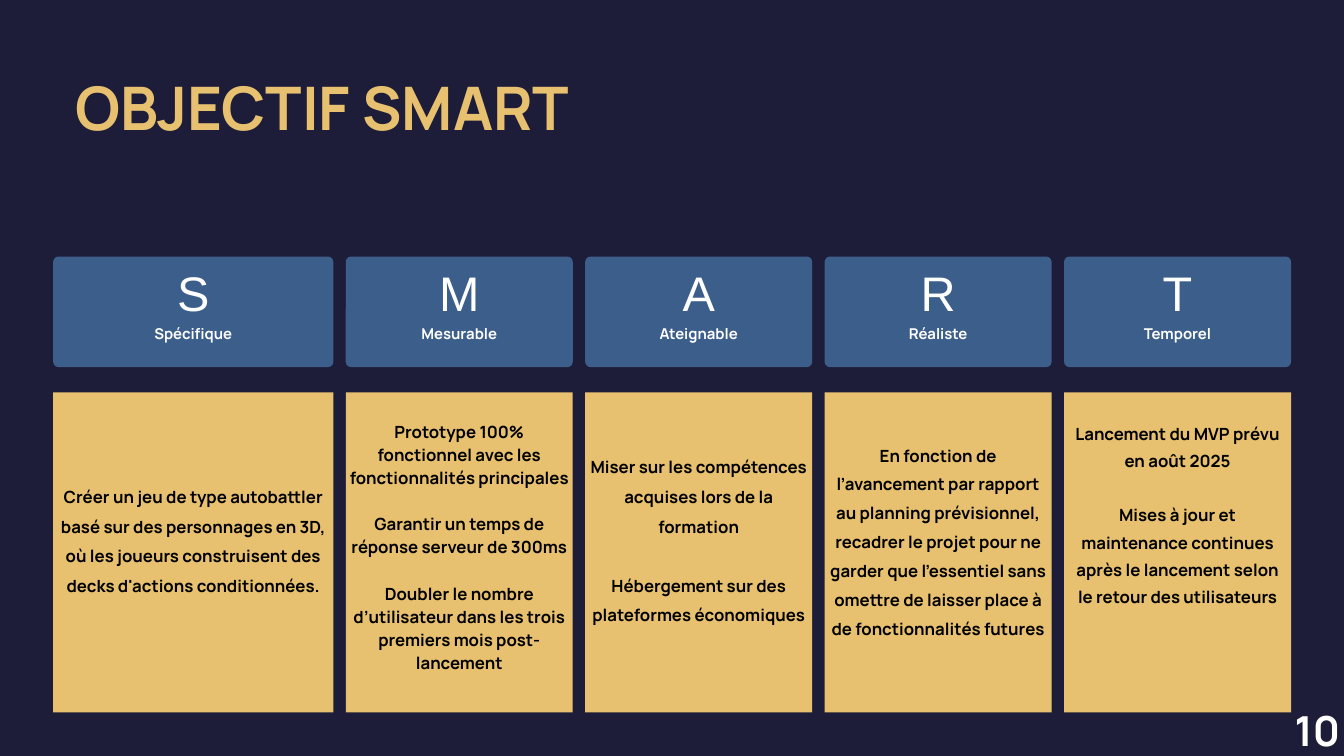
from pptx import Presentation
from pptx.dml.color import RGBColor
from pptx.enum.shapes import MSO_SHAPE as Shape
from pptx.enum.text import MSO_ANCHOR as Anchor, MSO_AUTO_SIZE as AutoSize, PP_ALIGN as Align
from pptx.util import Cm, Pt

# Content
TITLE = "OBJECTIF SMART"
PAGE_NUMBER = "10"
# letter, word, paragraphs, line pitch (pt), text lift (cm), lines kept free below
GOALS = [
    ("S", "Spécifique",
     ["Créer un jeu de type autobattler basé sur des personnages en 3D, "
      "où les joueurs construisent des decks d'actions conditionnées."], 31.7, 1.2, 0),
    ("M", "Mesurable",
     ["Prototype 100% fonctionnel avec les fonctionnalités principales",
      "Garantir un temps de réponse serveur de 300ms",
      "Doubler le nombre d’utilisateur dans les trois premiers mois post-lancement"],
     24.8, 0.5, 0),
    ("A", "Ateignable",
     ["Miser sur les compétences acquises lors de la formation",
      "Hébergement sur des plateformes économiques"], 31.7, 1.2, 0),
    ("R", "Réaliste",
     ["En fonction de l’avancement par rapport au planning prévisionnel, recadrer "
      "le projet pour ne garder que l’essentiel sans omettre de laisser place à "
      "de fonctionnalités futures"], 31, 1.1, 0),
    ("T", "Temporel",
     ["Lancement du MVP prévu en août 2025",
      "Mises à jour et maintenance continues après le lancement selon le retour "
      "des utilisateurs"], 29.2, 1.02, 2),
]

# Styles: font, size, colour, bold
THEME = {
    "background": "1E1D39", "header": "3C5E8B", "panel": "E8C170",
    "title": ("Manrope", 64.3, "E8C170", True),
    "letter": ("Arial", 52, "FFFFFF", False),
    "word": ("Manrope", 16, "FFFFFF", True),
    "body": ("Manrope", 18, "000000", True),
    "number": ("Manrope", 44.3, "FFFFFF", True),
}

# Grid, in cm
LEFT, GAP = 2.01, 0.47
FIRST_WIDTH, WIDTH = 10.59, 8.58
HEADER_TOP, HEADER_HEIGHT, HEADER_LIFT = 9.7, 4.18, 1.02
PANEL_TOP, PANEL_HEIGHT = 14.83, 12.1
INSET, RADIUS = 0.15, 0.2


def fill_solid(fill, colour):
    fill.solid()
    fill.fore_color.rgb = RGBColor.from_string(THEME[colour])


def add_block(slide, kind, box, colour):
    block = slide.shapes.add_shape(kind, *map(Cm, box))
    block.shadow.inherit = False
    fill_solid(block.fill, colour)
    block.line.fill.background()
    return block


def set_frame(frame, anchor, inset):
    frame.word_wrap = True
    frame.auto_size = AutoSize.NONE
    frame.vertical_anchor = anchor
    frame.margin_left = frame.margin_right = Cm(inset)
    frame.margin_top = frame.margin_bottom = Cm(inset)


def write(frame, lines, align=Align.CENTER):
    """Each line is (text, style, pitch in pt, space before in pt)."""
    frame.text = "\n".join(line[0] for line in lines)
    for paragraph, (_, style, pitch, before) in zip(frame.paragraphs, lines):
        paragraph.alignment = align
        paragraph.line_spacing = Pt(pitch)
        paragraph.space_before = Pt(before)
        name, size, colour, bold = THEME[style]
        for run in paragraph.runs:
            run.font.name, run.font.size, run.font.bold = name, Pt(size), bold
            run.font.color.rgb = RGBColor.from_string(colour)


def add_text(slide, box, lines, anchor=Anchor.MIDDLE, inset=INSET):
    frame = slide.shapes.add_textbox(*map(Cm, box)).text_frame
    set_frame(frame, anchor, inset)
    write(frame, lines)
    return frame


def add_goal(slide, left, width, goal):
    letter, word, texts, pitch, lift, free_lines = goal

    # Header with letter and word
    header = add_block(slide, Shape.ROUNDED_RECTANGLE,
                       (left, HEADER_TOP, width, HEADER_HEIGHT), "header")
    header.adjustments[0] = RADIUS / HEADER_HEIGHT
    add_text(slide, (left, HEADER_TOP - HEADER_LIFT, width, HEADER_HEIGHT + HEADER_LIFT),
             [(letter, "letter", 71.8, 0), (word, "word", 22.1, 0)])

    # Panel with the description, one line apart between paragraphs
    add_block(slide, Shape.RECTANGLE, (left, PANEL_TOP, width, PANEL_HEIGHT), "panel")
    frame = add_text(slide, (left, PANEL_TOP - lift, width, PANEL_HEIGHT + lift),
                     [(text, "body", pitch, pitch if i else 0)
                      for i, text in enumerate(texts)])
    frame.margin_bottom = Cm(INSET) + Pt(pitch * free_lines)


def main():
    deck = Presentation()
    deck.slide_width, deck.slide_height = Cm(50.8), Cm(28.58)
    slide = deck.slides.add_slide(deck.slide_layouts[5])
    fill_solid(slide.background.fill, "background")

    # Title
    title = slide.shapes.title
    title.left, title.top, title.width, title.height = map(Cm, (2.84, 2.67, 19.46, 2.9))
    set_frame(title.text_frame, Anchor.TOP, 0)
    write(title.text_frame, [(TITLE, "title", 77.1, 0)], Align.LEFT)

    # Goal columns
    left = LEFT
    for i, goal in enumerate(GOALS):
        width = WIDTH if i else FIRST_WIDTH
        add_goal(slide, left, width, goal)
        left += width + GAP

    # Page number
    add_text(slide, (48.79, 26.37, 2.01, 2.2), [(PAGE_NUMBER, "number", 61.2, 0)],
             Anchor.TOP, 0)

    deck.save("out.pptx")


if __name__ == "__main__":
    main()
